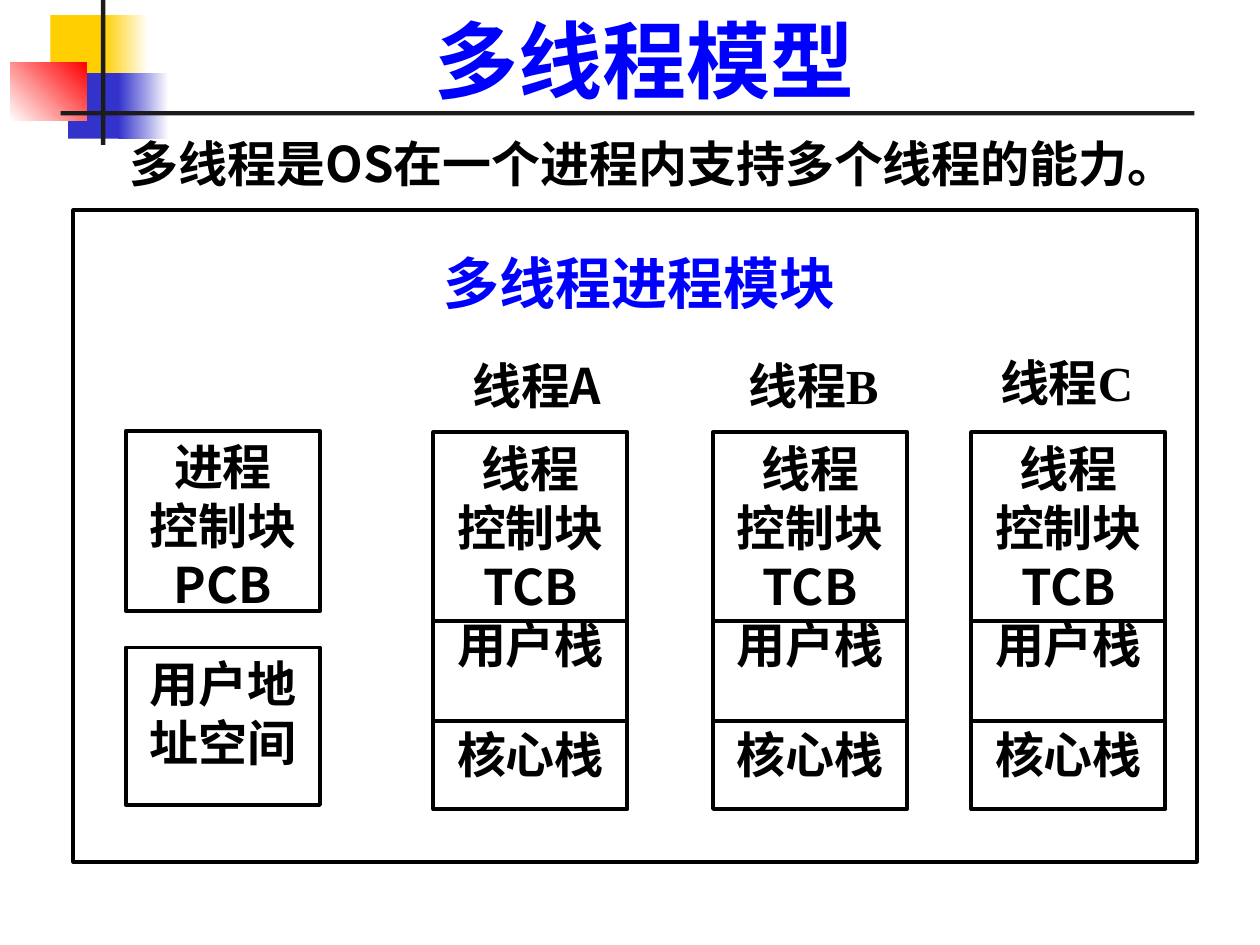
import pptx
import pptx.dml.color
import pptx.enum.shapes
import pptx.enum.text
import pptx.oxml
import pptx.oxml.ns
import pptx.util
from dataclasses import dataclass

Pt = pptx.util.Pt
ANCHOR = pptx.enum.text.MSO_ANCHOR


@dataclass(frozen=True)
class Theme:
    black: str = "000000"
    white: str = "FFFFFF"
    blue: str = "0000FF"
    rule: str = "1C1C1C"
    gold: str = "FFCF01"
    indigo: str = "3333CC"
    red: str = "FF0000"
    font: str = "Noto Sans CJK SC"
    title_font: str = "Roboto"
    serif: str = "Times New Roman"
    title: int = 48
    heading: int = 32
    body: int = 28
    line: float = 2.25


THEME = Theme()

# Left, top, width, height, colours (one for solid, two for a gradient), angle
DECORATION = [
    (28.8, 8.6, 34.6, 37.4, [THEME.gold], 0),
    (59, 8.6, 25.9, 37.4, [THEME.gold, THEME.white], 0),
    (38.9, 41.8, 33.1, 37.4, [THEME.indigo], 0),
    (67.7, 41.8, 28.8, 37.4, [THEME.indigo, THEME.white], 0),
    (5.8, 36, 43.9, 33.1, [THEME.white, THEME.red], 45),
    (57.6, 0, 2.6, 82.8, [THEME.rule], 0),
    (34.6, 63.5, 648, 2.4, [THEME.rule], 0),
]
TITLE = "多线程模型"
STATEMENT = "多线程是OS在一个进程内支持多个线程的能力。"
FRAME_TITLE = "多线程进程模块"
FRAME = (41.8, 120.2, 642.2, 372.2)

BOX_WIDTH = 110.9
PROCESS_LEFT = 72
# Top, height, lines
PROCESS_BOXES = [
    (246.2, 103, ["进程", "控制块", "PCB"]),
    (370, 90, ["用户地址空间"]),
]

THREAD_TOP, THREAD_HEIGHT = 247, 215.3
KERNEL_DIVIDER = 411.8
THREAD_LINES = ["线程", "控制块", "TCB", "用户栈", "核心栈"]
KERNEL_GAP = 29
# Label, Latin font, column left, label centre, label top
THREADS = [
    ("线程A", THEME.font, 247.7, 306.7, 199.4),
    ("线程B", THEME.serif, 407.5, 464.8, 199.4),
    ("线程C", THEME.serif, 555.1, 609.5, 198),
]
LABEL_WIDTH, LABEL_HEIGHT = 102, 41


def color(value):
    return pptx.dml.color.RGBColor.from_string(value)


def points(*lengths):
    return [Pt(length) for length in lengths]


def add_rectangle(slide, bounds, colors, angle=0, outlined=False):
    shape = slide.shapes.add_shape(
        pptx.enum.shapes.MSO_SHAPE.RECTANGLE, *points(*bounds))
    shape.shadow.inherit = False
    if len(colors) == 1:
        shape.fill.solid()
        shape.fill.fore_color.rgb = color(colors[0])
    else:
        shape.fill.gradient()
        shape.fill.gradient_angle = angle
        for position, (stop, value) in enumerate(zip(shape.fill.gradient_stops, colors)):
            stop.position = position
            stop.color.rgb = color(value)
    if outlined:
        shape.line.color.rgb = color(THEME.black)
        shape.line.width = Pt(THEME.line)
    else:
        shape.line.fill.background()
    return shape


def set_text(shape, lines, size=THEME.body, value=THEME.black, latin=THEME.font,
             anchor=ANCHOR.TOP, wrap=True):
    """Fill the shape with centred bold lines and return their paragraphs."""
    frame = shape.text_frame
    frame.word_wrap = wrap
    if not wrap:
        frame.auto_size = pptx.enum.text.MSO_AUTO_SIZE.SHAPE_TO_FIT_TEXT
    frame.vertical_anchor = anchor
    frame.text = "\n".join(lines)
    for paragraph in frame.paragraphs:
        paragraph.alignment = pptx.enum.text.PP_ALIGN.CENTER
        for item in [paragraph] + list(paragraph.runs):
            font = item.font
            font.name = latin
            font.size = Pt(size)
            font.bold = True
            font.color.rgb = color(value)
        for run in paragraph.runs:
            east_asian = pptx.oxml.parse_xml(
                f'<a:ea {pptx.oxml.ns.nsdecls("a")} typeface="{THEME.font}"/>')
            run.font._element.find(pptx.oxml.ns.qn("a:latin")).addnext(east_asian)
    return frame.paragraphs


def add_text(slide, bounds, text, **style):
    box = slide.shapes.add_textbox(*points(*bounds))
    return set_text(box, [text], **style)


def add_divider(slide, column, top):
    right = column.left + column.width
    connector = slide.shapes.add_connector(
        pptx.enum.shapes.MSO_CONNECTOR.STRAIGHT, column.left, Pt(top), right, Pt(top))
    connector.line.color.rgb = color(THEME.black)
    connector.line.width = Pt(THEME.line)
    connector._element.spPr.append(
        pptx.oxml.parse_xml(f'<a:effectLst {pptx.oxml.ns.nsdecls("a")}/>'))
    return connector


def add_thread(slide, label, latin, left, label_center, label_top):
    column = add_rectangle(slide, (left, THREAD_TOP, BOX_WIDTH, THREAD_HEIGHT),
                           [THEME.white], outlined=True)
    set_text(column, THREAD_LINES)[-1].space_before = Pt(KERNEL_GAP)
    middle = add_divider(slide, column, THREAD_TOP + THREAD_HEIGHT / 2)
    middle.begin_connect(column, 1)
    middle.end_connect(column, 3)
    add_divider(slide, column, KERNEL_DIVIDER)
    add_text(slide, (label_center - LABEL_WIDTH / 2, label_top, LABEL_WIDTH, LABEL_HEIGHT),
             label, latin=latin, wrap=False)


def main():
    presentation = pptx.Presentation()
    presentation.slide_width, presentation.slide_height = points(720, 540)
    slide = presentation.slides.add_slide(presentation.slide_layouts[6])

    for *bounds, colors, angle in DECORATION:
        add_rectangle(slide, bounds, colors, angle)
    add_rectangle(slide, FRAME, [THEME.white], outlined=True)
    for top, height, lines in PROCESS_BOXES:
        box = add_rectangle(slide, (PROCESS_LEFT, top, BOX_WIDTH, height),
                            [THEME.white], outlined=True)
        set_text(box, lines)
    for thread in THREADS:
        add_thread(slide, *thread)

    add_text(slide, (242.4, 138.2, 246, 46), FRAME_TITLE,
             size=THEME.heading, value=THEME.blue, wrap=False)
    statement = add_text(slide, (57.6, 76.3, 631.4, 37.4), STATEMENT)
    statement[0].line_spacing = 0.9
    add_text(slide, (59.8, 0, 617, 66.2), TITLE, size=THEME.title, value=THEME.blue,
             latin=THEME.title_font, anchor=ANCHOR.BOTTOM)
    presentation.save("out.pptx")


if __name__ == "__main__":
    main()
